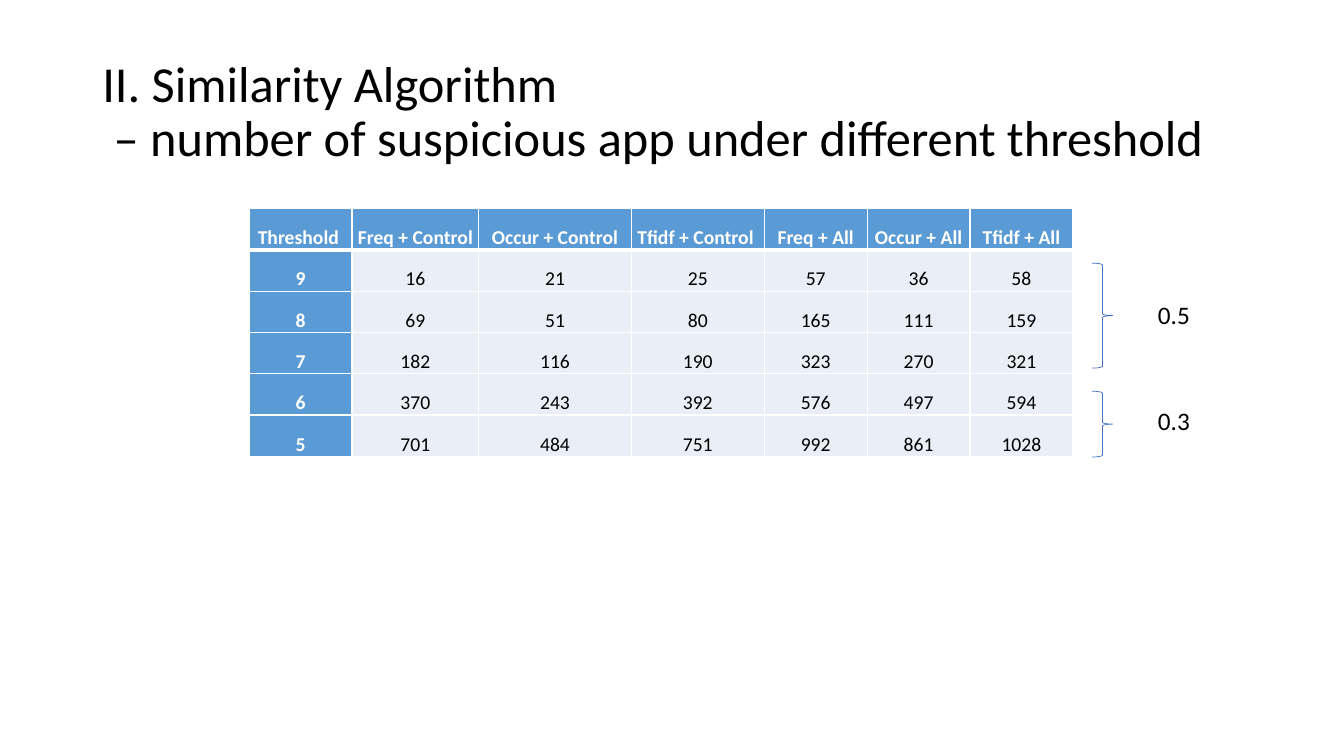
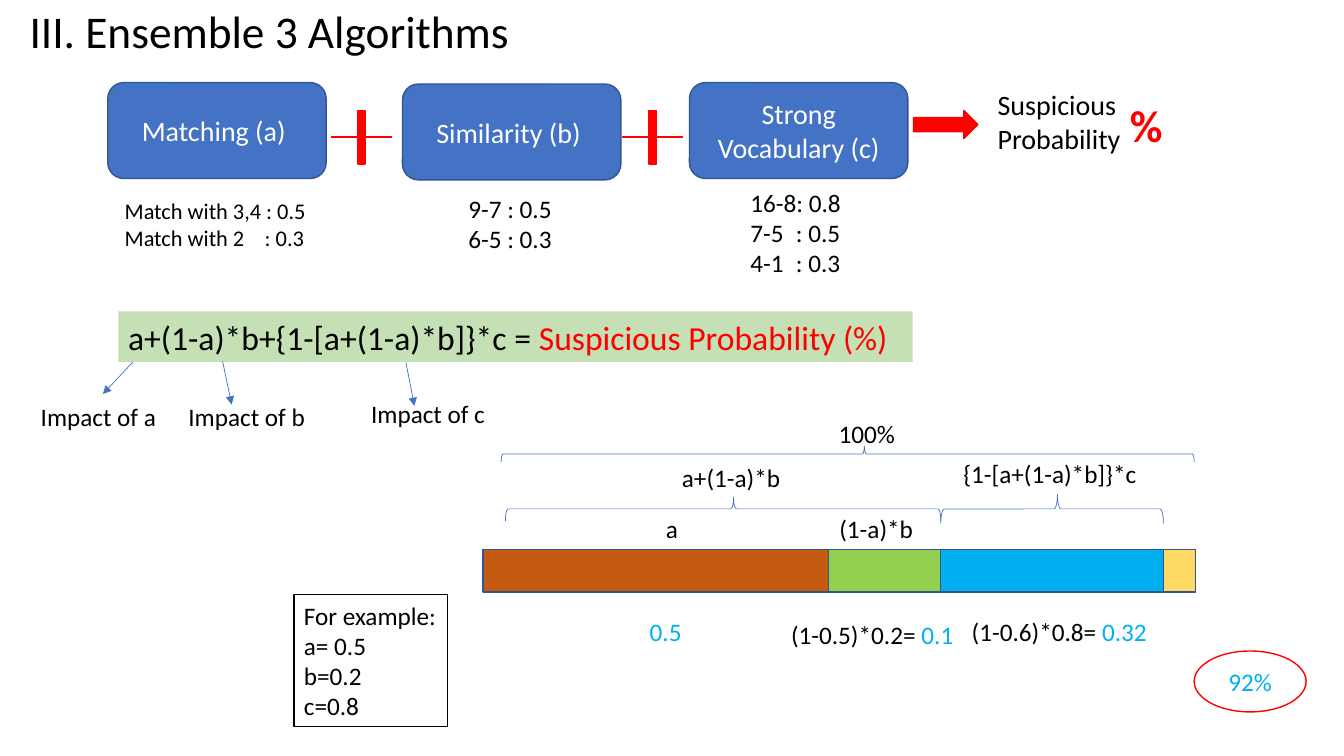
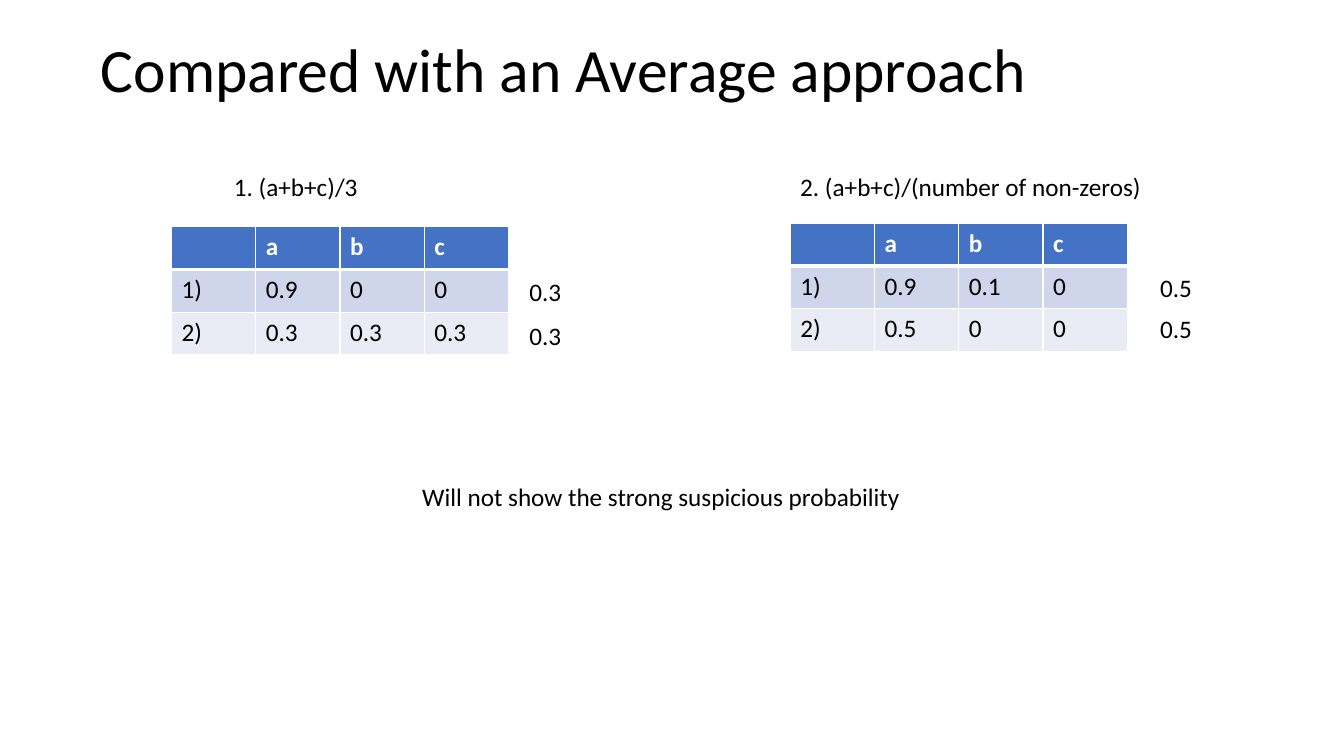
from itertools import accumulate

from lxml import etree
from pptx import Presentation
from pptx.dml.color import RGBColor
from pptx.enum import shapes, text
from pptx.oxml import ns
from pptx.util import Pt

BLACK = RGBColor(0x00, 0x00, 0x00)
WHITE = RGBColor(0xFF, 0xFF, 0xFF)
RED = RGBColor(0xFF, 0x00, 0x00)
BLUE = RGBColor(0x44, 0x72, 0xC4)
NAVY = RGBColor(0x32, 0x54, 0x91)
SKY = RGBColor(0x00, 0xB0, 0xF0)
STEEL = RGBColor(0x5B, 0x9B, 0xD5)
PALE_STEEL = RGBColor(0xEA, 0xEF, 0xF7)
BAND_DARK = RGBColor(0xCF, 0xD5, 0xEA)
BAND_LIGHT = RGBColor(0xE9, 0xEB, 0xF5)
RUST = RGBColor(0xC5, 0x5A, 0x11)
GREEN = RGBColor(0x92, 0xD0, 0x50)
PALE_GREEN = RGBColor(0xC5, 0xE0, 0xB4)
YELLOW = RGBColor(0xFF, 0xD9, 0x66)

FONT = "Calibri"
LABEL_H = 29
TITLE = {"spacing": 0.9, "anchor": text.MSO_ANCHOR.MIDDLE}
SHAPE = shapes.MSO_SHAPE
CENTER = text.PP_ALIGN.CENTER


def put(s, box, lines=(), kind=None, fill=None, line=None, weight=1, adj=(),
        size=18, color=BLACK, bold=False, spacing=None, anchor=None, tab=None):
    """Add a text box, or a preset shape of the given kind, with its lines of text."""
    box = [Pt(v) for v in box]
    if kind is None:
        sp = s.shapes.add_textbox(*box)
    else:
        sp = s.shapes.add_shape(kind, *box)
        sp.shadow.inherit = False
    for i, value in enumerate(adj):
        sp.adjustments[i] = value
    if fill is None:
        sp.fill.background()
    else:
        sp.fill.solid()
        sp.fill.fore_color.rgb = fill
    if line is None:
        sp.line.fill.background()
    else:
        sp.line.color.rgb = line
        sp.line.width = Pt(weight)
    tf = sp.text_frame
    tf.word_wrap = True
    if anchor is not None:
        tf.vertical_anchor = anchor
    for i, runs in enumerate(lines):
        p = tf.add_paragraph() if i else tf.paragraphs[0]
        if kind is not None:
            p.alignment = CENTER
        if spacing:
            p.line_spacing = spacing
        if tab:
            pPr = p._p.get_or_add_pPr()
            stops = etree.SubElement(pPr, ns.qn("a:tabLst"))
            etree.SubElement(stops, ns.qn("a:tab"), pos=str(Pt(tab)), algn="l")
        for words, ink in [(runs, color)] if isinstance(runs, str) else runs:
            r = p.add_run()
            r.text = words
            for name, value in {"name": FONT, "size": Pt(size), "bold": bold}.items():
                setattr(r.font, name, value)
            r.font.color.rgb = ink
    return sp


def grid(s, x, y, widths, row_h, rows, head, bands, size=18, head_col=False, cell_format=None):
    """Add a table with a header row, white rules and alternating row fills."""
    frame = s.shapes.add_table(len(rows), len(widths), Pt(x), Pt(y),
                               Pt(sum(widths)), Pt(row_h * len(rows)))
    tbl = frame.table
    tbl.horz_banding = False
    for col, w in zip(tbl.columns, widths):
        col.width = Pt(w)
    for i, row in enumerate(rows):
        tbl.rows[i].height = Pt(row_h)
        for j, words in enumerate(row):
            cell = tbl.cell(i, j)
            is_head = i == 0 or (head_col and j == 0)
            tcPr = cell._tc.get_or_add_tcPr()
            for side in "LRTB":
                thick = (i, side) in ((0, "B"), (1, "T"))
                ln = etree.SubElement(tcPr, ns.qn("a:ln" + side), w=str(Pt(3 if thick else 1)))
                paint = etree.SubElement(ln, ns.qn("a:solidFill"))
                etree.SubElement(paint, ns.qn("a:srgbClr"), val=str(WHITE))
            cell.fill.solid()
            cell.fill.fore_color.rgb = head if is_head else bands[(i - 1) % len(bands)]
            for name, value in (cell_format or {}).items():
                setattr(cell, name, value)
            p = cell.text_frame.paragraphs[0]
            if cell_format:
                p.alignment = CENTER
            r = p.add_run()
            r.text = words
            for name, value in {"name": FONT, "size": Pt(size), "bold": is_head}.items():
                setattr(r.font, name, value)
            r.font.color.rgb = WHITE if is_head else BLACK


prs = Presentation()
prs.slide_width, prs.slide_height = Pt(960), Pt(540)
blank = prs.slide_layouts[6]

# Slide 1: suspicious apps per threshold
s = prs.slides.add_slide(blank)
put(s, (66, 29, 828, 104),
    ["II. Similarity Algorithm", " – number of suspicious app under different threshold"],
    size=36, **TITLE)
counts = [
    ["Threshold ", "Freq + Control", "Occur + Control", "Tfidf + Control ",
     "Freq + All", "Occur + All", "Tfidf + All"],
    ["9", "16", "21", "25", "57", "36", "58"],
    ["8", "69", "51", "80", "165", "111", "159"],
    ["7", "182", "116", "190", "323", "270", "321"],
    ["6", "370", "243", "392", "576", "497", "594"],
    ["5", "701", "484", "751", "992", "861", "1028"],
]
flush_bottom = {"margin_left": 0, "margin_right": 0, "margin_top": 0, "margin_bottom": 0,
                "vertical_anchor": text.MSO_ANCHOR.BOTTOM}
grid(s, 178, 149, [73.5, 90.5, 109, 95, 73.5, 73.5, 73.5], 29.5, counts, STEEL, [PALE_STEEL],
     size=14, head_col=True, cell_format=flush_bottom)
for brace_y, brace_h, label_y, score in [(188, 75, 210, "0.5"), (279.5, 47, 286, "0.3")]:
    put(s, (780, brace_y, 15, brace_h), kind=SHAPE.RIGHT_BRACE, line=BLUE, weight=0.5)
    put(s, (820, label_y, 38, LABEL_H), [score])

# Slide 2: combining the three algorithms
s = prs.slides.add_slide(blank)
put(s, (14, 4, 829, 40), ["III. Ensemble 3 Algorithms"], size=32.4, **TITLE)
for x, y, name in [(77, 59, "Matching (a) "), (287.5, 60, "Similarity (b) "),
                   (492.5, 59, "Strong Vocabulary (c)")]:
    put(s, (x, y, 156, 68.5), [name], SHAPE.ROUNDED_RECTANGLE, BLUE, NAVY,
        size=20, color=WHITE)
for x in (237, 445):
    put(s, (x, 79, 42.5, 38), kind=SHAPE.CROSS, fill=RED, line=RED, adj=[0.49])
put(s, (652.5, 79, 46, 20), kind=SHAPE.RIGHT_ARROW, fill=RED, line=RED)
put(s, (705.5, 59, 132, 56), ["Suspicious ", "Probability "], size=20)
put(s, (800, 66, 75, 46), ["%"], size=32, color=RED, bold=True)

put(s, (82, 137, 147, 46), ["Match with 3,4 : 0.5", "Match with 2\t: 0.3"], size=16, tab=100)
put(s, (327.5, 134.5, 76, 51), ["9-7 : 0.5", "6-5 : 0.3"])
put(s, (529, 130, 81, 73), ["16-8: 0.8", "7-5\t: 0.5", "4-1\t: 0.3"], tab=32.5)

put(s, (84.5, 222.5, 567.5, 36),
    [[("a+(1-a)*b+{1-[a+(1-a)*b]}*c = ", BLACK), ("Suspicious Probability (%) ", RED)]],
    fill=PALE_GREEN, size=24)
for ends, x, y, w, part in [((95, 258.5, 73.5, 281.5), 22, 283, 112, "a"),
                            ((159, 258, 165.5, 289), 127.5, 283, 101, "b"),
                            ((290, 259, 296, 290), 258, 281, 101, "c")]:
    arrow = s.shapes.add_connector(shapes.MSO_CONNECTOR.STRAIGHT, *[Pt(v) for v in ends])
    arrow.line.color.rgb = BLUE
    arrow.line.width = Pt(0.5)
    spPr = arrow._element.spPr
    etree.SubElement(spPr.find(ns.qn("a:ln")), ns.qn("a:tailEnd"), type="triangle")
    etree.SubElement(spPr, ns.qn("a:effectLst"))
    put(s, (x, y, w, LABEL_H), ["Impact of " + part])

bar_widths = [247, 80, 159, 23]
bar_starts = accumulate(bar_widths, initial=345)
for x, w, fill in zip(bar_starts, bar_widths, [RUST, GREEN, SKY, YELLOW]):
    put(s, (x, 392.5, w, 30.5), kind=SHAPE.RECTANGLE, fill=fill, line=NAVY)
for x, y, span, depth in [(361, 355, 311, 17), (672, 353, 159, 21), (358, 318.5, 495, 11.5)]:
    shift = (span - depth) / 2
    brace = put(s, (x + shift, y - shift, depth, span), kind=SHAPE.LEFT_BRACE,
                line=BLUE, weight=0.5, adj=[0.115, 0.476])
    brace.rotation = 90
for x, y, w, runs in [
    (468.5, 363, 24, "a"),
    (592.5, 363, 69, "(1-a)*b"),
    (681, 324, 141, "{1-[a+(1-a)*b]}*c"),
    (480, 327, 87, "a+(1-a)*b"),
    (592, 295, 56, "100%"),
    (457, 436.5, 38, [("0.5", SKY)]),
    (558, 439, 133, [("(1-0.5)*0.2= ", BLACK), ("0.1", SKY)]),
    (687, 436.5, 142, [("(1-0.6)*0.8= ", BLACK), ("0.32", SKY)]),
]:
    put(s, (x, y, w, LABEL_H), [runs])
put(s, (210, 425, 110, 94), ["For example: ", "a= 0.5", "b=0.2", "c=0.8"],
    fill=WHITE, line=BLACK, weight=0.75)
put(s, (853, 465, 80, 43.5), ["92%"], SHAPE.OVAL, WHITE, RED, color=SKY)

# Slide 3: two ways of averaging
s = prs.slides.add_slide(blank)
put(s, (65, 0, 828, 104), ["Compared with an Average approach"], size=44, **TITLE)
for head_x, head_w, formula, x, y, rows, score_x, scores in [
    (160, 142, "1. (a+b+c)/3", 122.5, 162,
     [["1)", "0.9", "0", "0"], ["2)", "0.3", "0.3", "0.3"]],
     371, [(193.5, "0.3"), (225, "0.3")]),
    (564.5, 276, "2. (a+b+c)/(number of non-zeros)", 564.5, 159.5,
     [["1)", "0.9", "0.1", "0"], ["2)", "0.5", "0", "0"]],
     821.5, [(191, "0.5"), (220.5, "0.5")]),
]:
    put(s, (head_x, 119, head_w, LABEL_H), [formula])
    grid(s, x, y, [60.2] * 4, 30.5, [["", "a", "b", "c"]] + rows, BLUE, [BAND_DARK, BAND_LIGHT])
    for score_y, score in scores:
        put(s, (score_x, score_y, 38, LABEL_H), [score])
put(s, (294.5, 340.5, 369, LABEL_H), ["Will not show the strong suspicious probability "])

prs.save("out.pptx")
